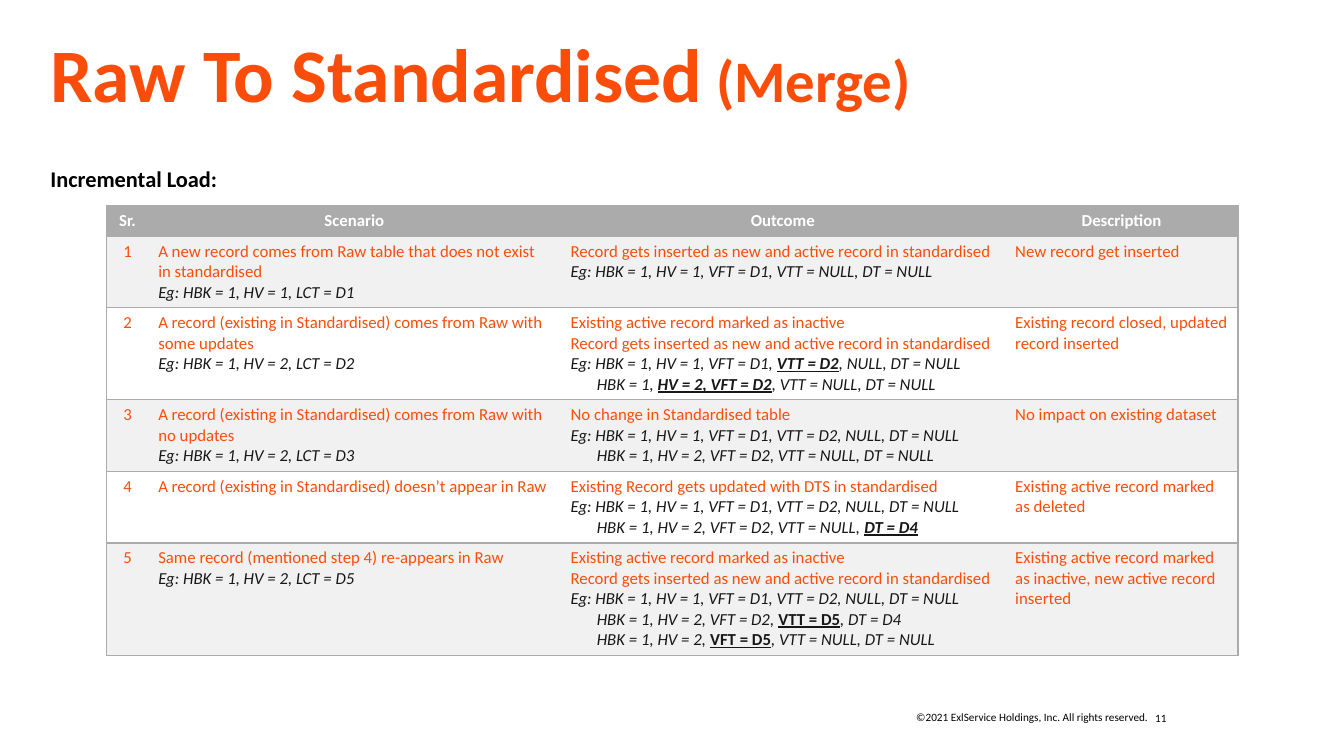
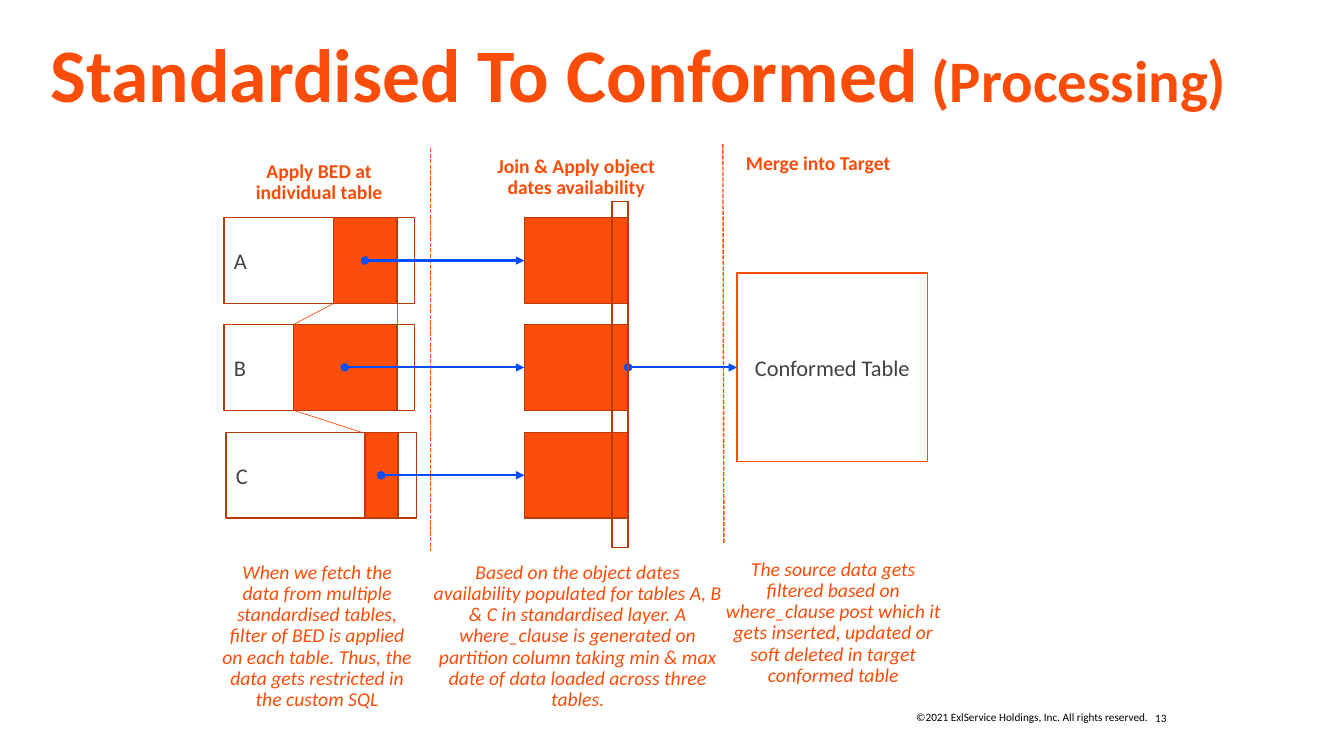
from dataclasses import dataclass
from typing import Any, Optional

from lxml.etree import SubElement
from pptx import Presentation
from pptx.dml.color import RGBColor
from pptx.enum.dml import MSO_LINE
from pptx.enum.shapes import MSO_CONNECTOR, MSO_SHAPE
from pptx.enum.text import MSO_ANCHOR, MSO_AUTO_SIZE, PP_ALIGN
from pptx.oxml.ns import qn
from pptx.util import Emu, Pt

SCALE = 9144
FONT = "Calibri"
ORANGE = "FB4D0A"
BLOCK = "FB4E0B"
RUST = "BA3A08"
BLUE = "004EFF"
GREY = "ABABAB"
PALE = "F1F1F1"
WHITE = "FFFFFF"
BLACK = "000000"
INK = "171717"
SLATE = "424242"
PLAIN = "{2D5ABB26-0587-4C30-8999-92F81FD0307C}"
LEFT, MID, RIGHT = PP_ALIGN.LEFT, PP_ALIGN.CENTER, PP_ALIGN.RIGHT


@dataclass(frozen=True)
class Step:
    scene: str
    result: str
    note: str
    height: int
    slant: bool = True


@dataclass(frozen=True)
class Source:
    name: str
    left: int
    top: int
    start: int
    width: int


@dataclass(frozen=True)
class Label:
    left: int
    top: int
    width: int
    height: int
    text: str
    inset: int = 0
    bold: bool = False


STEPS = [
    Step("A new record comes from Raw table that does not exist in standardised\n"
         "Eg: HBK = 1, HV = 1, LCT = D1",
         "Record gets inserted as new and active record in standardised\n"
         "Eg: HBK = 1, HV = 1, VFT = D1, VTT = NULL, DT = NULL",
         "New record get inserted", 71),
    Step("A record (existing in Standardised) comes from Raw with some updates\n"
         "Eg: HBK = 1, HV = 2, LCT = D2",
         "Existing active record marked as inactive\n"
         "Record gets inserted as new and active record in standardised\n"
         "Eg: HBK = 1, HV = 1, VFT = D1, *VTT = D2*, NULL, DT = NULL\n"
         "HBK = 1, *HV = 2, VFT = D2*, VTT = NULL, DT = NULL",
         "Existing record closed, updated record inserted", 91),
    Step("A record (existing in Standardised) comes from Raw with no updates\n"
         "Eg: HBK = 1, HV = 2, LCT = D3",
         "No change in Standardised table\n"
         "Eg: HBK = 1, HV = 1, VFT = D1, VTT = D2, NULL, DT = NULL\n"
         "HBK = 1, HV = 2, VFT = D2, VTT = NULL, DT = NULL",
         "No impact on existing dataset", 71),
    Step("A record (existing in Standardised) doesn’t appear in Raw",
         "Existing Record gets updated with DTS in standardised\n"
         "Eg: HBK = 1, HV = 1, VFT = D1, VTT = D2, NULL, DT = NULL\n"
         "HBK = 1, HV = 2, VFT = D2, VTT = NULL, *DT = D4*",
         "Existing active record marked as deleted", 71),
    Step("Same record (mentioned step 4) re-appears in Raw\n"
         "Eg: HBK = 1, HV = 2, LCT = D5",
         "Existing active record marked as inactive\n"
         "Record gets inserted as new and active record in standardised\n"
         "Eg: HBK = 1, HV = 1, VFT = D1, VTT = D2, NULL, DT = NULL\n"
         "HBK = 1, HV = 2, VFT = D2, *VTT = D5*, DT = D4\n"
         "HBK = 1, HV = 2, *VFT = D5*, VTT = NULL, DT = NULL",
         "Existing active record marked as inactive, new active record inserted",
         112, False),
]
HEADS = ["Sr.", "Scenario", "Outcome", "Description"]
WIDTHS = [41, 409, 441, 231]

SOURCES = [
    Source("A", 222, 216, 331, 63),
    Source("B", 222, 322, 291, 103),
    Source("C", 224, 429, 362, 33),
]
LABELS = [
    Label(222, 155, 189, 44, "Apply BED at individual table", 10, True),
    Label(477, 155, 189, 44, "Join & Apply object dates availability", 0, True),
    Label(717, 152, 189, 44, "Merge into Target", 0, True),
    Label(220, 558, 189, 163,
          "When we fetch the data from multiple standardised tables, filter of BED "
          "is applied on each table. Thus, the data gets restricted in the custom SQL"),
    Label(427, 558, 292, 163,
          "Based on the object dates availability populated for tables A, B & C in "
          "standardised layer. A where_clause is generated on partition column "
          "taking min & max date of data loaded across three tables."),
    Label(718, 555, 217, 134,
          "The source data gets filtered based on where_clause post which it gets "
          "inserted, updated or soft deleted in target conformed table"),
]
LINKS = [(331, 301, 291, 322), (394, 301, 394, 322), (359, 429, 291, 407)]
SPLITS = [(427, 147, 427, 547), (717, 143, 718, 539)]
TALL = 85


def px(count: int) -> Emu:
    return Emu(count * SCALE)


def tint(code: str) -> RGBColor:
    return RGBColor.from_string(code)


def put(para: Any, text: str, *, size: int = 12, hue: str = ORANGE,
        bold: bool = False, slant: bool = False, under: bool = False,
        align: Any = LEFT, lead: Optional[float] = None, dent: int = 0) -> None:
    para.alignment = align
    if lead:
        para.line_spacing = lead
    if dent:
        para._p.get_or_add_pPr().set("marL", str(px(dent)))
    run = para.add_run()
    run.text = text
    font = run.font
    font.name, font.size, font.color.rgb = FONT, Pt(size), tint(hue)
    font.bold, font.italic, font.underline = bold, slant, under


def set_frame(shape: Any, side: int = 10, edge: int = 5,
              anchor: Any = MSO_ANCHOR.TOP) -> Any:
    frame = shape.text_frame
    frame.word_wrap = True
    frame.auto_size = MSO_AUTO_SIZE.NONE
    frame.vertical_anchor = anchor
    frame.margin_left = frame.margin_right = px(side)
    frame.margin_top = frame.margin_bottom = px(edge)
    return frame.paragraphs[0]


def add_text(slide: Any, left: int, top: int, width: int, height: int,
             text: str, side: int = 10, edge: int = 5, **style: Any) -> None:
    box = slide.shapes.add_textbox(px(left), px(top), px(width), px(height))
    put(set_frame(box, side, edge), text, **style)


def add_box(slide: Any, left: int, top: int, width: int, height: int,
            fill: Optional[str] = None, line: str = RUST,
            text: str = "", align: Any = LEFT) -> Any:
    box = slide.shapes.add_shape(
        MSO_SHAPE.RECTANGLE, px(left), px(top), px(width), px(height))
    box.shadow.inherit = False
    if fill:
        box.fill.solid()
        box.fill.fore_color.rgb = tint(fill)
    else:
        box.fill.background()
    box.line.color.rgb = tint(line)
    box.line.width = Pt(1)
    if text:
        put(set_frame(box, anchor=MSO_ANCHOR.MIDDLE), text,
            size=16, hue=SLATE, align=align)
    return box


def add_line(slide: Any, ends: tuple[int, int, int, int], hue: str = BLOCK,
             width: float = 0.5, dash: bool = False, arrow: bool = False) -> Any:
    line = slide.shapes.add_connector(MSO_CONNECTOR.STRAIGHT, *map(px, ends))
    line.line.color.rgb = tint(hue)
    line.line.width = Pt(width)
    if dash:
        line.line.dash_style = MSO_LINE.SQUARE_DOT
    props = line._element.spPr
    if arrow:
        stroke = props.find(qn("a:ln"))
        SubElement(stroke, qn("a:headEnd")).set("type", "oval")
        SubElement(stroke, qn("a:tailEnd")).set("type", "triangle")
    SubElement(props, qn("a:effectLst"))
    return line


def add_slide(deck: Any, name: str, part: str, number: int) -> Any:
    slide = deck.slides.add_slide(deck.slide_layouts[5])
    title = slide.shapes.title
    title.left, title.top, title.width, title.height = map(px, (50, 44, 1233, 102))
    para = set_frame(title, 0, 0)
    put(para, name, size=54, bold=True, lead=0.8)
    put(para, f" ({part})", size=42, bold=True)
    add_text(slide, 881, 700, 268, 24,
             "©2021 ExlService Holdings, Inc. All rights reserved.",
             size=8, hue=BLACK, align=RIGHT)
    add_text(slide, 1136, 701, 63, 24, str(number), size=8, hue=BLACK)
    return slide


def style_cell(cell: Any, fill: str, sides: list[str]) -> None:
    props = cell._tc.get_or_add_tcPr()
    for side in sides:
        edge = SubElement(props, qn(f"a:ln{side}"), w=str(Pt(1)))
        paint = SubElement(edge, qn("a:solidFill"))
        SubElement(paint, qn("a:srgbClr"), val=GREY)
    cell.fill.solid()
    cell.fill.fore_color.rgb = tint(fill)


def fill_cell(cell: Any, text: str, slant: bool) -> None:
    frame = cell.text_frame
    for index, line in enumerate(text.split("\n")):
        para = frame.add_paragraph() if index else frame.paragraphs[0]
        more = line.startswith("HBK")
        case = more or line.startswith("Eg:")
        for spot, piece in enumerate(line.split("*")):
            strong = spot % 2 == 1
            if piece:
                put(para, piece, hue=INK if case else ORANGE, bold=strong,
                    under=strong, slant=case and (slant or not strong),
                    dent=26 if more else 0)


def add_grid(slide: Any) -> None:
    highs = [30] + [step.height for step in STEPS]
    grid = slide.shapes.add_table(
        len(highs), len(WIDTHS), px(106), px(204),
        px(sum(WIDTHS)), px(sum(highs))).table
    grid.horz_banding = False
    grid._tbl.tblPr.find(qn("a:tableStyleId")).text = PLAIN
    for col, width in zip(grid.columns, WIDTHS):
        col.width = px(width)
    for row, high in zip(grid.rows, highs):
        row.height = px(high)
    for index, row in enumerate(grid.rows):
        fill = PALE if index % 2 else WHITE
        for spot, cell in enumerate(row.cells):
            outer = {0: ["L"], len(WIDTHS) - 1: ["R"]}.get(spot, [])
            style_cell(cell, fill if index else GREY, outer + ["T", "B"])
    for spot, head in enumerate(HEADS):
        put(grid.cell(0, spot).text_frame.paragraphs[0], head,
            hue=WHITE, bold=True, align=MID)
    for index, step in enumerate(STEPS, 1):
        put(grid.cell(index, 0).text_frame.paragraphs[0], str(index), align=MID)
        for spot, text in enumerate((step.scene, step.result, step.note), 1):
            fill_cell(grid.cell(index, spot), text, step.slant)


def draw_merge(deck: Any) -> None:
    slide = add_slide(deck, "Raw To Standardised", "Merge", 11)
    add_text(slide, 50, 167, 1233, 34, "Incremental Load:", 0, 0,
             size=16, hue=BLACK, bold=True, lead=0.9)
    add_grid(slide)


def draw_flow(deck: Any) -> None:
    slide = add_slide(deck, "Standardised To Conformed", "Processing", 13)
    for label in LABELS:
        add_text(slide, label.left, label.top, label.width, label.height,
                 label.text, label.inset, label.inset // 2, size=14,
                 bold=label.bold, slant=not label.bold, align=MID, lead=0.9)
    for ends in LINKS:
        add_line(slide, ends)
    for ends in SPLITS:
        add_line(slide, ends, width=1, dash=True)
    joins = []
    for item in SOURCES:
        add_box(slide, item.start, item.top, item.width, TALL, BLOCK)
        add_box(slide, item.left, item.top, 189, TALL, text=item.name)
        joins.append(add_box(slide, 520, item.top, 103, TALL, BLOCK))
    goal = add_box(slide, 731, 271, 189, 187, line=ORANGE,
                   text="Conformed Table", align=MID)
    for item, join in zip(SOURCES, joins):
        level = join.top + join.height // 2
        wire = add_line(slide, (item.start + item.width // 2, item.top, 520, item.top),
                        BLUE, 1.5, arrow=True)
        wire.begin_y = level
        wire.end_connect(join, 1)
    wire = add_line(slide, (623, 365, 731, 365), BLUE, 1.5, arrow=True)
    wire.begin_connect(joins[1], 3)
    wire.end_connect(goal, 1)
    add_box(slide, 607, 200, 16, 343)


def main() -> None:
    deck = Presentation()
    deck.slide_width, deck.slide_height = px(1333), px(750)
    draw_merge(deck)
    draw_flow(deck)
    deck.save("out.pptx")


if __name__ == "__main__":
    main()
